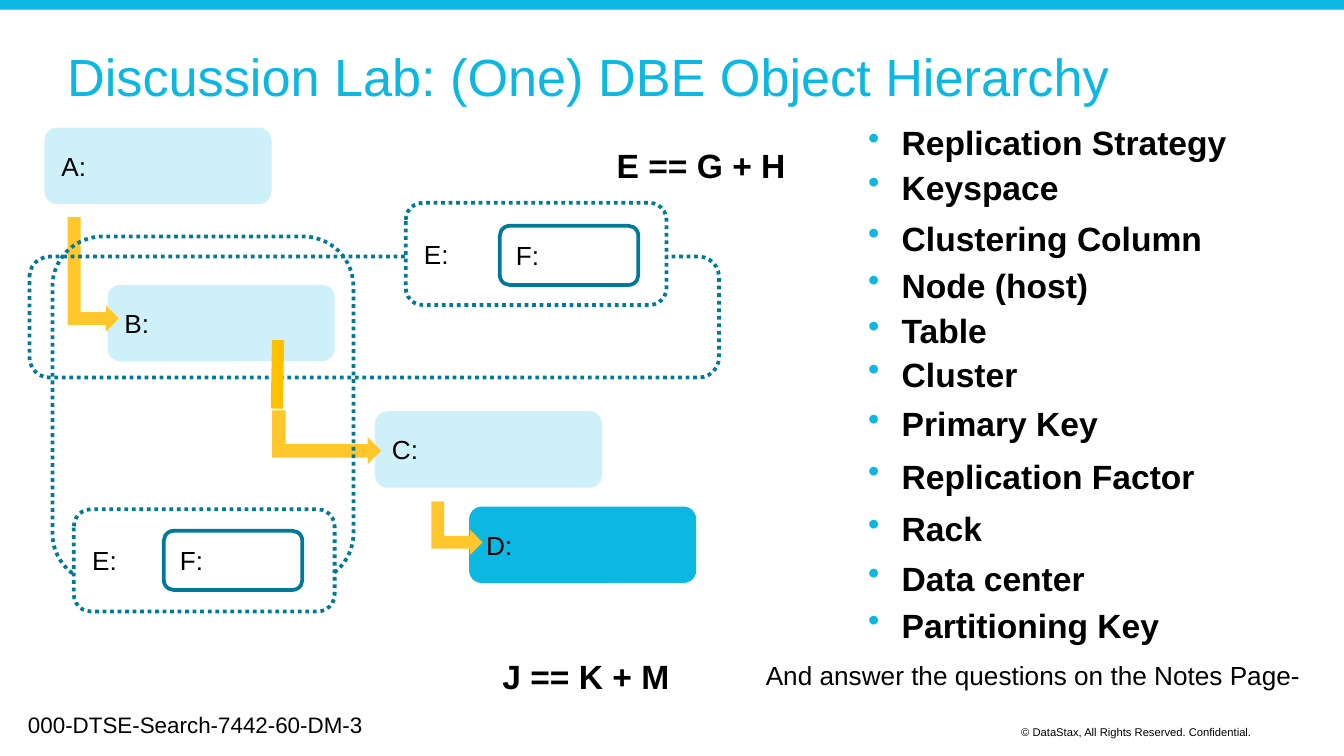
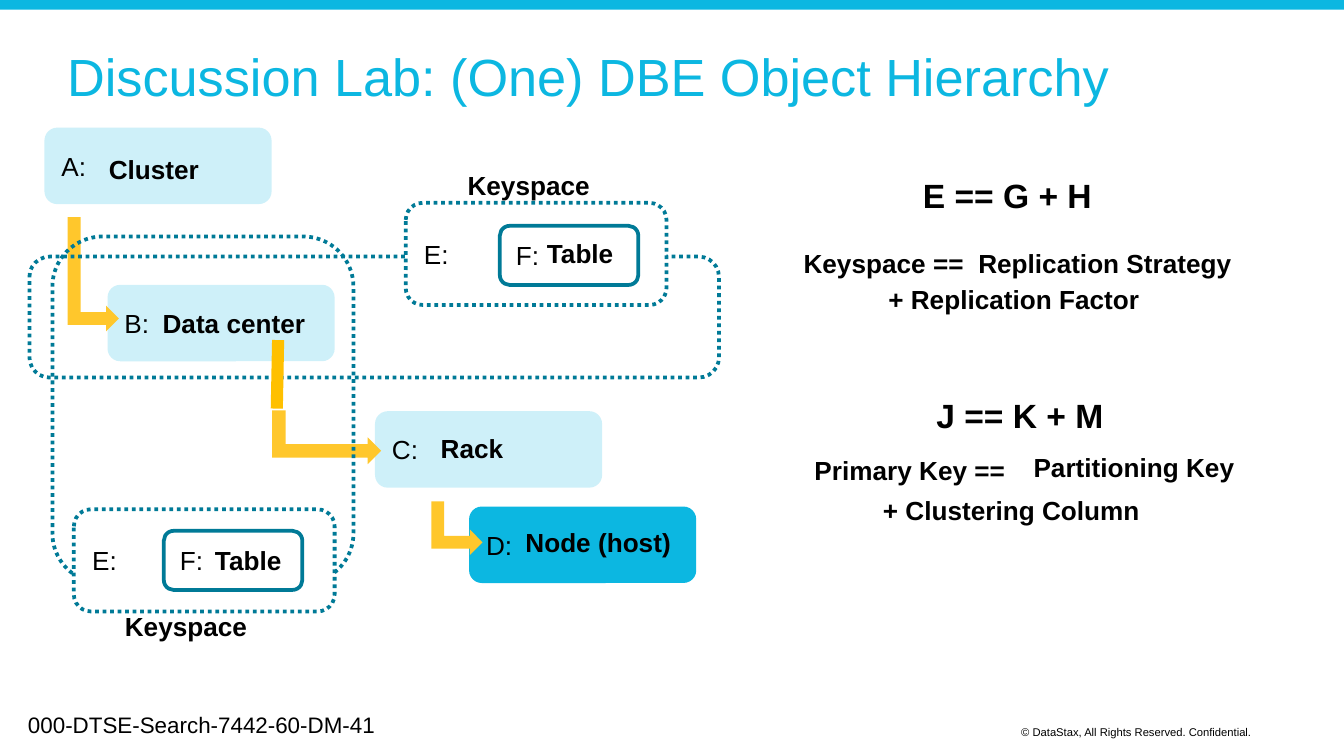
import pptx
import pptx.dml.color
import pptx.enum.dml
import pptx.enum.shapes
import pptx.enum.text
import pptx.oxml.ns
import pptx.util
from lxml import etree

Pt = pptx.util.Pt
qn = pptx.oxml.ns.qn
SHAPE = pptx.enum.shapes.MSO_SHAPE
ANCHOR = pptx.enum.text.MSO_ANCHOR
LEFT_ALIGN = pptx.enum.text.PP_ALIGN.LEFT

FONT = "Arial"
COLORS = {
    "blue": "0CB7E1",
    "teal": "007A97",
    "yellow": "FFC72C",
    "amber": "FFC000",
    "white": "FFFFFF",
    "black": "000000",
}
TITLE = "Discussion Lab: (One) DBE Object Hierarchy"
COPYRIGHT = "© DataStax, All Rights Reserved. Confidential."

LEVELS = [  # label, left, top, opacity in percent
    ("D:", 251.3, 271.4, 100),
    ("A:", 23.8, 68.4, 20),
    ("B:", 57.6, 152.6, 20),
    ("C:", 200.9, 220.3, 20),
]
TERMS = [  # term, top
    ("Replication Strategy", 61.9),
    ("Keyspace", 85.7),
    ("Clustering Column", 113),
    ("Node (host)", 138.2),
    ("Table", 162.7),
    ("Cluster", 185.8),
    ("Primary Key", 212.4),
    ("Replication Factor", 240.5),
    ("Rack", 268.6),
    ("Data center", 295.2),
    ("Partitioning Key", 320.4),
]
ANSWERS = [  # answer, left, top
    ("Cluster", 57.6, 78.5),
    ("Data center", 86.4, 161.3),
    ("Rack", 235.4, 228.2),
    ("Node (host)", 280.8, 278.6),
    ("Keyspace", 249.8, 87.1),
    ("Table", 292.3, 123.8),
    ("Keyspace", 66.2, 323.3),
    ("Table", 114.5, 288),
    ("Keyspace ==", 429.8, 128.9),
    ("Replication Strategy", 523.4, 128.9),
    ("+ Replication Factor", 475.2, 148.3),
    ("Primary Key ==", 435.6, 239.8),
    ("Partitioning Key", 553, 238.3),
    ("+ Clustering Column", 472.3, 261.4),
]


def rgb(name):
    return pptx.dml.color.RGBColor.from_string(COLORS[name])


def style_font(para, size, color="black", bold=False):
    para.font.name = FONT
    para.font.size = Pt(size)
    para.font.bold = bold
    para.font.color.rgb = rgb(color)


def add_text(page, text, left, top, width, height, size,
             bold=False, wrap=True, margin_left=7.2):
    box = page.shapes.add_textbox(Pt(left), Pt(top), Pt(width), Pt(height))
    frame = box.text_frame
    frame.word_wrap = wrap
    frame.margin_left = Pt(margin_left)
    para = frame.paragraphs[0]
    para.text = text
    style_font(para, size, bold=bold)
    return para


def add_block(shapes, kind, left, top, width, height, fill=None, opacity=100,
              line=None, dotted=False, label=None):
    block = shapes.add_shape(kind, Pt(left), Pt(top), Pt(width), Pt(height))
    block.shadow.inherit = False
    if fill:
        block.fill.solid()
        block.fill.fore_color.rgb = rgb(fill)
    else:
        block.fill.background()
    if opacity < 100:
        color = block.fill._xPr.find(qn("a:solidFill"))[0]
        etree.SubElement(color, qn("a:alpha"), val=str(opacity * 1000))
    if line:
        block.line.color.rgb = rgb(line)
        block.line.width = Pt(2)
        if dotted:
            block.line.dash_style = pptx.enum.dml.MSO_LINE.ROUND_DOT
    else:
        block.line.fill.background()
    if label:
        block.text_frame.vertical_anchor = ANCHOR.MIDDLE
        para = block.text_frame.paragraphs[0]
        para.text = label
        para.alignment = LEFT_ALIGN
        style_font(para, 14)
    return block


def add_elbow_arrow(shapes, left, top, width, height):
    """Add an arrow that runs down and then right; the frame is unrotated."""
    arrow = add_block(shapes, SHAPE.BENT_UP_ARROW, left, top, width, height,
                      fill="yellow")
    arrow.rotation = 90


def add_long_arrow(page):
    """Group the elbow arrow from B to C with the stem above it."""
    group = page.shapes.add_group_shape()
    add_elbow_arrow(group.shapes, 160.6, 205.2, 28.8, 58.3)
    stem = group.shapes.add_connector(
        pptx.enum.shapes.MSO_CONNECTOR.STRAIGHT,
        Pt(149), Pt(182.2), Pt(148.3), Pt(218.9))
    stem.line.color.rgb = rgb("amber")
    stem.line.width = Pt(6.5)
    etree.SubElement(stem._element.spPr, qn("a:effectLst"))


def add_dotted_frame(page, left, top, width, height, fill=None, label=None):
    add_block(page.shapes, SHAPE.ROUNDED_RECTANGLE, left, top, width, height,
              fill=fill, line="teal", dotted=True, label=label)


def add_keyspace(page, left, top, table_left, table_top):
    add_dotted_frame(page, left, top, 139.7, 54.7, fill="white", label="E:")
    add_block(page.shapes, SHAPE.ROUNDED_RECTANGLE, table_left, table_top,
              74.2, 31.7, fill="white", line="teal", label="F:")


def add_hierarchy(page):
    for label, left, top, opacity in LEVELS:
        add_block(page.shapes, SHAPE.ROUNDED_RECTANGLE, left, top, 121.7, 41,
                  fill="blue", opacity=opacity, label=label)
    add_elbow_arrow(page.shapes, 230.4, 269.3, 28.8, 27.4)
    add_elbow_arrow(page.shapes, 19.4, 133.2, 61.2, 27.4)
    add_dotted_frame(page, 15.8, 137.5, 369.4, 64.8)
    add_keyspace(page, 217.4, 108.7, 267.8, 121)
    add_long_arrow(page)
    add_dotted_frame(page, 28.1, 126.7, 161.3, 185.8)
    add_keyspace(page, 39.6, 272.9, 87.8, 284.4)


def add_formula(page, text, left, top):
    add_text(page, text, left, top, 105.5, 28.8, 18, bold=True, wrap=False)


def add_term(page, term, top):
    para = add_text(page, term, 464.4, top, 208.8, 32, 18, bold=True,
                    margin_left=0)
    props = para._p.get_or_add_pPr()
    props.set("marL", str(Pt(18.7)))
    props.set("indent", str(-Pt(18)))
    bullet_color = etree.Element(qn("a:buClr"))
    etree.SubElement(bullet_color, qn("a:srgbClr"), val=COLORS["blue"])
    bullet = etree.Element(qn("a:buChar"), char="•")
    props.insert(0, bullet_color)
    props.insert(1, bullet)


def add_page(deck, code):
    """Add a slide with the band, title, footers and hierarchy diagram."""
    page = deck.slides.add_slide(deck.slide_layouts[5])
    add_block(page.shapes, SHAPE.RECTANGLE, 0, 0, 720, 5.2, fill="blue")
    title = page.shapes.title
    title.left, title.top = Pt(36), Pt(21.6)
    title.width, title.height = Pt(648), Pt(43.2)
    frame = title.text_frame
    frame.auto_size = pptx.enum.text.MSO_AUTO_SIZE.NONE
    frame.vertical_anchor = ANCHOR.BOTTOM
    frame.margin_left = 0
    frame.margin_top = frame.margin_right = frame.margin_bottom = Pt(7.2)
    para = frame.paragraphs[0]
    para.text = TITLE
    para.alignment = LEFT_ALIGN
    para.line_spacing = 0.9
    style_font(para, 28, "blue")
    add_text(page, COPYRIGHT, 540, 385.2, 162, 15, 6)
    add_text(page, code, 7.9, 377.3, 337.7, 21.6, 12)
    add_hierarchy(page)
    return page


def add_question_page(deck):
    page = add_page(deck, "000-DTSE-Search-7442-60-DM-3")
    add_formula(page, "E == G + H", 323.3, 74.2)
    add_formula(page, "J == K + M", 262.1, 347.8)
    add_text(page, "And answer the questions on the Notes Page-",
             403.2, 349.9, 302.4, 24.5, 14, wrap=False)
    for term, top in TERMS:
        add_term(page, term, top)


def add_answer_page(deck):
    page = add_page(deck, "000-DTSE-Search-7442-60-DM-41")
    add_formula(page, "E == G + H", 487.4, 90)
    add_formula(page, "J == K + M", 494.6, 208.1)
    for answer, left, top in ANSWERS:
        add_text(page, answer, left, top, 160, 30, 14, bold=True,
                 margin_left=0.72)


def main():
    deck = pptx.Presentation()
    deck.slide_width, deck.slide_height = Pt(720), Pt(405)
    add_question_page(deck)
    add_answer_page(deck)
    deck.save("out.pptx")


if __name__ == "__main__":
    main()
